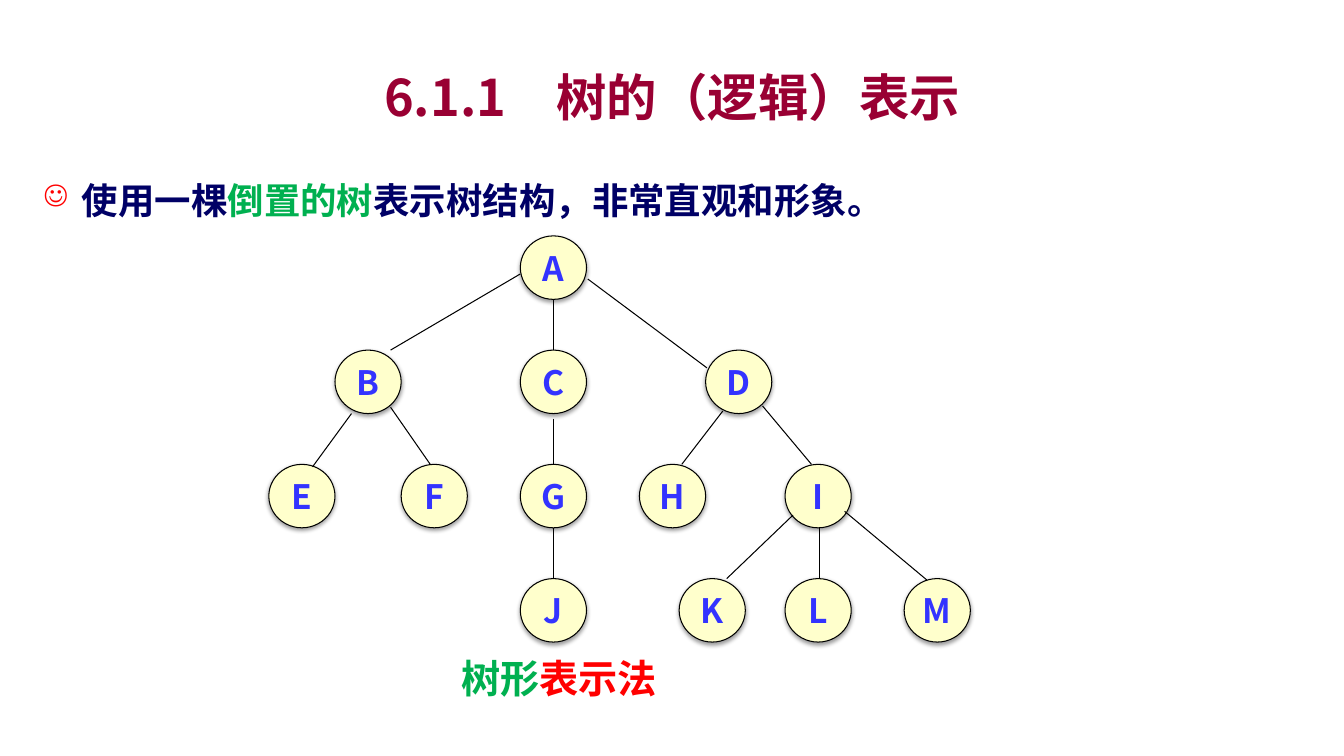
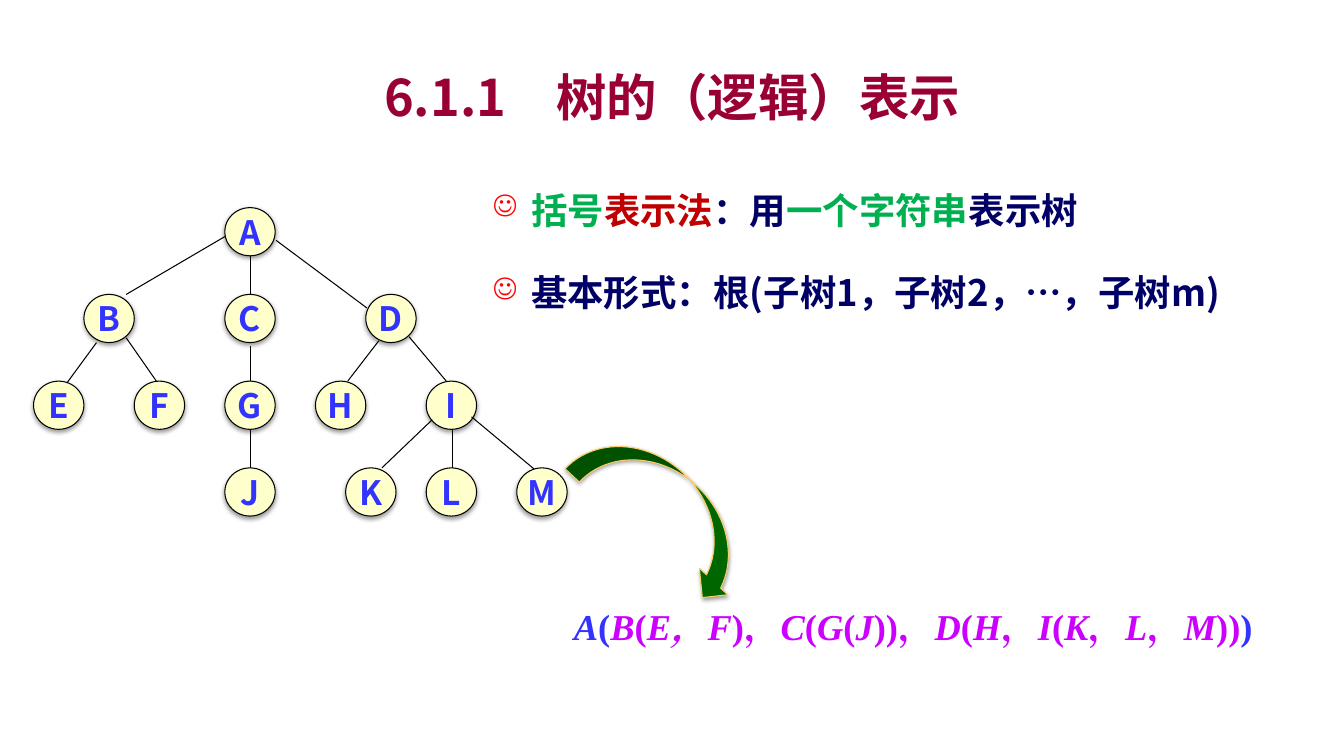
from lxml import etree
from pptx import Presentation
from pptx.dml.color import RGBColor
from pptx.enum.shapes import MSO_CONNECTOR, MSO_SHAPE
from pptx.enum.text import MSO_ANCHOR, MSO_AUTO_SIZE, PP_ALIGN
from pptx.oxml import parse_xml
from pptx.oxml.ns import nsdecls, qn
from pptx.util import Inches, Pt

SANS, SERIF = "Noto Sans CJK SC", "Times New Roman"
MAROON = RGBColor(0x99, 0x00, 0x33)
NAVY = RGBColor(0x00, 0x00, 0x66)
BLUE = RGBColor(0x33, 0x33, 0xFF)
MAGENTA = RGBColor(0xCC, 0x00, 0xFF)
GREEN = RGBColor(0x00, 0xB0, 0x50)
DARK_GREEN = RGBColor(0x00, 0x66, 0x00)
RED = RGBColor(0xFF, 0x00, 0x00)
DARK_RED = RGBColor(0xC0, 0x00, 0x00)
CREAM = RGBColor(0xFF, 0xFF, 0xCC)
GOLD = RGBColor(0xFF, 0xCC, 0x66)
BLACK = RGBColor(0x00, 0x00, 0x00)

# The tree is 53 columns by 32 rows; a node covers 5 by 5 cells.
TREE_COLS, TREE_ROWS, NODE = 53, 32, 5
LEVELS = [
    {"A": 19},
    {"B": 5, "C": 19, "D": 33},
    {"E": 0, "F": 10, "G": 19, "H": 28, "I": 39},
    {"J": 19, "K": 31, "L": 39, "M": 48},
]
LEVEL_STEP = 9
EDGES = [  # column and row of both ends
    (19, 3, 9.2, 9), (21.5, 5, 21.5, 9), (24.1, 3.4, 33.1, 10.4),
    (6.25, 14, 3.3, 18.2), (9.2, 13.5, 12.2, 18), (21.5, 14.4, 21.5, 18),
    (34.3, 13.8, 31.2, 18), (37.3, 13.4, 41, 18), (21.5, 23, 21.5, 27),
    (39.6, 22, 34.6, 27), (41.6, 23, 41.6, 27), (43.5, 21.7, 49.7, 27.1),
]

prs = Presentation()
prs.slide_width, prs.slide_height = Inches(13.33), Inches(7.5)


def area(left, top, width, height):
    """Turn percentages of the slide's size into lengths."""
    w, h = prs.slide_width / 100, prs.slide_height / 100
    return int(left * w), int(top * h), int(width * w), int(height * h)


def write(p, runs, size, name=SANS, align=None):
    """Fill a paragraph with (text, colour) runs in one bold font."""
    p.alignment = align
    p.font.size, p.font.name, p.font.bold = Pt(size), name, True
    props = p._p.get_or_add_pPr().find(qn("a:defRPr"))
    etree.SubElement(props, qn("a:ea")).set("typeface", name)
    for text, color in runs:
        r = p.add_run()
        r.text = text
        r.font.color.rgb = color


# Titles
layout = prs.slide_layouts[5]
tree_slide, bracket_slide = [prs.slides.add_slide(layout) for _ in range(2)]
for s in (tree_slide, bracket_slide):
    title = s.shapes.title
    title.left, title.top, title.width, title.height = area(7.5, 7.73, 85, 10)
    tf = title.text_frame
    tf.auto_size, tf.vertical_anchor = MSO_AUTO_SIZE.NONE, MSO_ANCHOR.MIDDLE
    write(tf.paragraphs[0], [("6.1.1　树的（逻辑）表示", MAROON)], 36,
          align=PP_ALIGN.CENTER)

# Bulleted text
bodies = [
    (tree_slide, area(2.5, 20, 95, 13.33), [
        [("使用一棵", NAVY), ("倒置的树", GREEN),
         ("表示树结构，非常直观和形象。", NAVY)],
    ]),
    (bracket_slide, area(35.93, 21.33, 59.62, 26.4), [
        [("括号", GREEN), ("表示法", DARK_RED), ("：用", NAVY),
         ("一个字符串", GREEN), ("表示树", NAVY)],
        [("基本形式：根(子树1，子树2，…，子树m)", NAVY)],
    ]),
]
for s, place, items in bodies:
    tf = s.shapes.add_textbox(*place).text_frame
    tf.word_wrap = True
    for i, runs in enumerate(items):
        p = tf.add_paragraph() if i else tf.paragraphs[0]
        p.line_spacing, p.space_after = 1.5, Pt(6)
        if i:
            p.space_before = Pt(6)
        props = p._p.get_or_add_pPr()
        props.set("marL", str(Inches(0.38)))
        props.set("indent", str(-Inches(0.38)))
        color = etree.SubElement(props, qn("a:buClr"))
        etree.SubElement(color, qn("a:srgbClr")).set("val", str(RED))
        etree.SubElement(props, qn("a:buSzPct")).set("val", "80000")
        etree.SubElement(props, qn("a:buChar")).set("char", "☺")
        write(p, runs, 26)

# Caption of the tree
tf = tree_slide.shapes.add_textbox(*area(30.1, 85.9, 23, 7.6)).text_frame
tf.word_wrap = True
write(tf.paragraphs[0], [("树形", GREEN), ("表示法", RED)], 28,
      align=PP_ALIGN.CENTER)

# Bracket expression: letters are italic
tf = bracket_slide.shapes.add_textbox(*area(39, 79.2, 57.9, 7.2)).text_frame
tf.word_wrap = True
p = tf.paragraphs[0]
inner = ["B", "(", "E，F", ")，", "C", "(", "G", "(", "J", "))，", "D", "(",
         "H", "，", "I", "(", "K", "，", "L", "，", "M", "))"]
write(p, [("A", BLUE), ("(", BLUE), *((t, MAGENTA) for t in inner),
          (")", BLUE)], 26, SERIF, PP_ALIGN.CENTER)
for r in p.runs:
    r.font.italic = r.text[0].isalpha()

# Arrow from the tree to the expression
arrow = bracket_slide.shapes.add_shape(
    MSO_SHAPE.CURVED_DOWN_ARROW, *area(41.93, 62.53, 15.45, 10.27))
arrow.rotation = 43.2
raised = [(arrow, DARK_GREEN, GOLD)]

# Trees
for s, place in ((tree_slide, area(20, 31.2, 52.2, 53.73)),
                 (bracket_slide, area(2.5, 27.47, 39.7, 40.8))):
    left, top, width, height = place
    col, row = width / TREE_COLS, height / TREE_ROWS
    tree = s.shapes.add_group_shape().shapes
    for level, nodes in enumerate(LEVELS):
        for letter, start in nodes.items():
            node = tree.add_shape(
                MSO_SHAPE.OVAL, int(left + start * col),
                int(top + level * LEVEL_STEP * row),
                int(NODE * col), int(NODE * row))
            tf = node.text_frame
            tf.word_wrap, tf.vertical_anchor = False, MSO_ANCHOR.MIDDLE
            write(tf.paragraphs[0], [(letter, BLUE)], 24,
                  align=PP_ALIGN.CENTER)
            raised.append((node, CREAM, BLACK))
    for x1, y1, x2, y2 in EDGES:
        edge = tree.add_connector(
            MSO_CONNECTOR.STRAIGHT, int(left + x1 * col), int(top + y1 * row),
            int(left + x2 * col), int(top + y2 * row))
        edge.line.color.rgb, edge.line.width = BLACK, Pt(0.75)
        etree.SubElement(edge._element.spPr, qn("a:effectLst"))

# Fill, outline and soft shadow of the nodes and the arrow
for shape, fill, line in raised:
    shape.fill.solid()
    shape.fill.fore_color.rgb = fill
    shape.line.color.rgb, shape.line.width = line, Pt(0.75)
    shape.shadow.inherit = False
    shape._element.spPr.find(qn("a:effectLst")).append(parse_xml(
        f'<a:outerShdw {nsdecls("a")} blurRad="{Pt(3.1)}" dist="{Pt(1.6)}" '
        'dir="5400000" rotWithShape="0"><a:srgbClr val="000000">'
        '<a:alpha val="38000"/></a:srgbClr></a:outerShdw>'))

prs.save("out.pptx")
